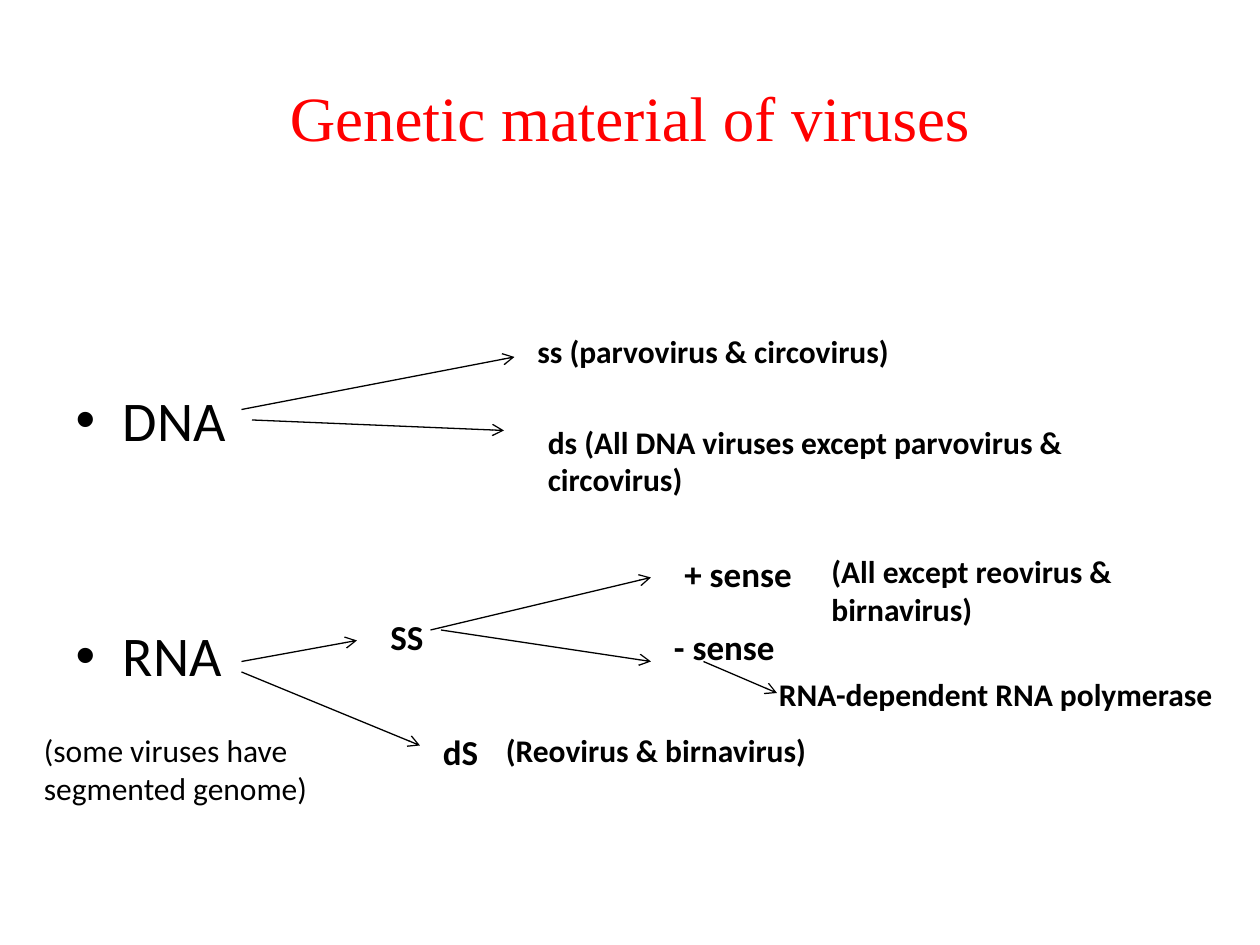
from dataclasses import dataclass

import pptx
import pptx.dml.color
import pptx.enum.shapes
import pptx.enum.text
import pptx.oxml.ns
import pptx.util
from lxml import etree

Pt = pptx.util.Pt
BLACK, RED = "000000", "FF0000"


@dataclass
class Label:
    text: str
    left: float
    top: float
    width: float
    size: float = 18
    bold: bool = True


@dataclass
class Arrow:
    start: tuple[float, float]
    end: tuple[float, float]


LABELS = [
    Label("ss (parvovirus & circovirus)", 300, 186, 230),
    Label("ds (All DNA viruses except parvovirus & circovirus)", 306, 238, 360),
    Label("SS", 216, 348, 78, size=20),
    Label("+ sense", 384, 312, 120, size=20),
    Label("- sense", 378, 354, 120, size=20),
    Label("(All except reovirus &\nbirnavirus)", 468, 312, 306),
    Label("RNA-dependent RNA polymerase", 438, 382, 264),
    Label("dS", 246, 414, 78, size=20),
    Label("(Reovirus & birnavirus)", 282, 414, 200),
    Label("(some viruses have segmented genome)", 18, 414, 168, bold=False),
]

ARROWS = [
    Arrow((138, 234), (294, 204)),  # DNA to ss
    Arrow((144, 240), (288, 246)),  # DNA to ds
    Arrow((138, 378), (204, 366)),  # RNA to SS
    Arrow((138, 384), (240, 426)),  # RNA to dS
    Arrow((246, 360), (372, 330)),  # SS to + sense
    Arrow((252, 360), (372, 378)),  # SS to - sense
    Arrow((402, 378), (444, 396)),  # - sense to polymerase
]


def rgb(value: str) -> pptx.dml.color.RGBColor:
    return pptx.dml.color.RGBColor.from_string(value)


def write(frame, text: str, *, size: float, font: str = "Calibri",
          color: str = BLACK, bold: bool = False) -> None:
    frame.text = text
    frame.word_wrap = True
    for paragraph in frame.paragraphs:
        for run in paragraph.runs:
            run.font.size = Pt(size)
            run.font.name = font
            run.font.bold = bold
            run.font.color.rgb = rgb(color)


def place(shape, left: float, top: float, width: float, height: float) -> None:
    shape.left, shape.top = Pt(left), Pt(top)
    shape.width, shape.height = Pt(width), Pt(height)


def draw_label(slide, label: Label) -> None:
    box = slide.shapes.add_textbox(Pt(label.left), Pt(label.top), Pt(label.width), Pt(29))
    write(box.text_frame, label.text, size=label.size, bold=label.bold)
    box.text_frame.auto_size = pptx.enum.text.MSO_AUTO_SIZE.SHAPE_TO_FIT_TEXT


def draw_arrow(slide, arrow: Arrow) -> None:
    connector = slide.shapes.add_connector(
        pptx.enum.shapes.MSO_CONNECTOR.STRAIGHT,
        *map(Pt, arrow.start + arrow.end))
    connector.line.color.rgb = rgb(BLACK)
    connector.line.width = Pt(0.75)
    qn = pptx.oxml.ns.qn
    etree.SubElement(connector.line._get_or_add_ln(), qn("a:tailEnd"), type="arrow")
    etree.SubElement(connector._element.spPr, qn("a:effectLst"))


def main() -> None:
    presentation = pptx.Presentation()
    presentation.slide_width, presentation.slide_height = Pt(720), Pt(540)
    slide = presentation.slides.add_slide(presentation.slide_layouts[1])

    title, acids = slide.placeholders
    place(title, 36, 21.6, 648, 90)
    write(title.text_frame, "Genetic material of viruses",
          size=36, font="Times New Roman", color=RED)

    place(acids, 36, 216.8, 648, 265.6)
    write(acids.text_frame, "DNA\nRNA", size=32)
    dna, rna = acids.text_frame.paragraphs
    dna.space_before, rna.space_before = Pt(0), Pt(96)

    for arrow in ARROWS:
        draw_arrow(slide, arrow)
    for label in LABELS:
        draw_label(slide, label)

    presentation.save("out.pptx")


if __name__ == "__main__":
    main()
